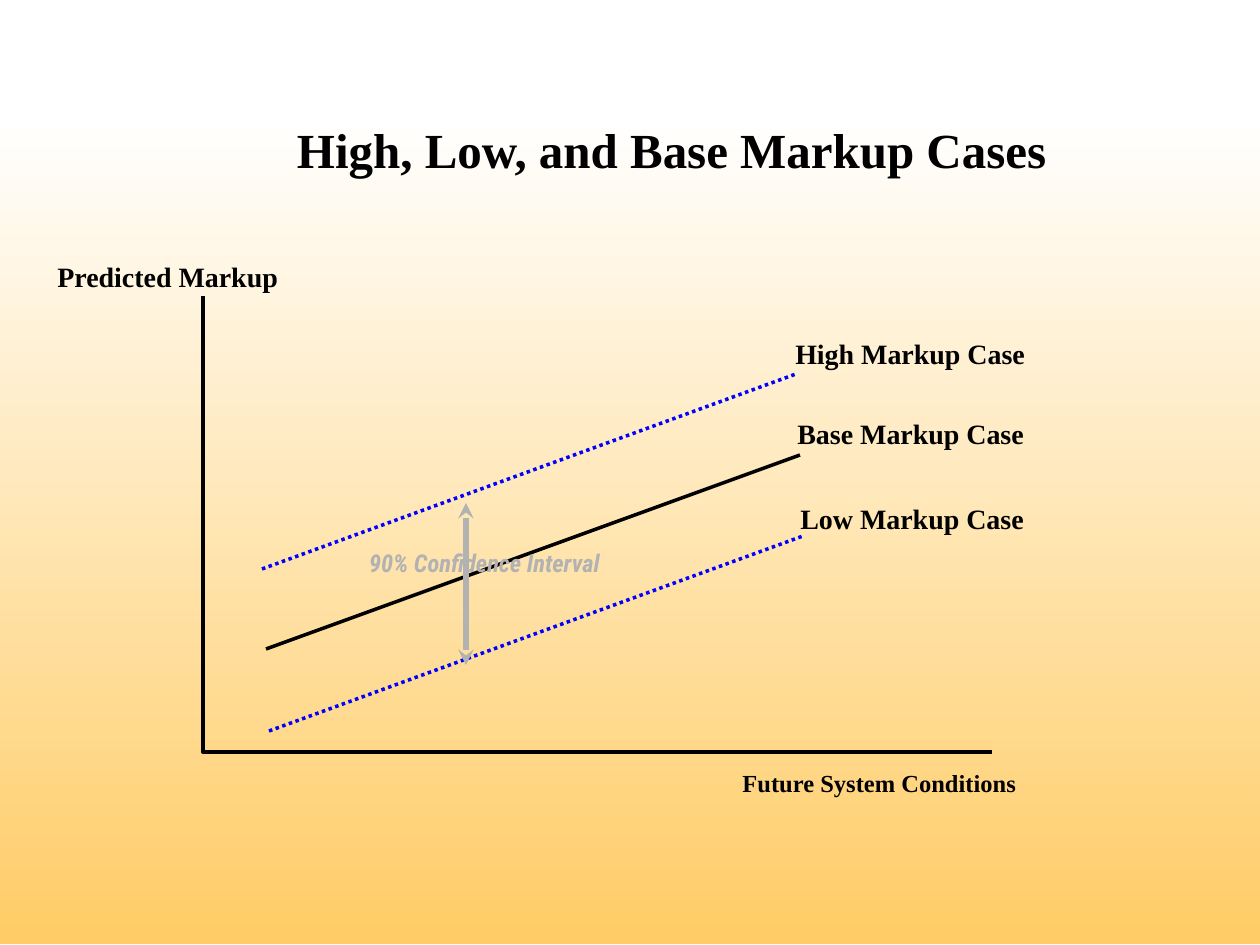
"""Build the slide with the high, low and base markup cases."""
from dataclasses import dataclass
from typing import Optional

import pptx
import pptx.dml.color
import pptx.enum.dml
import pptx.enum.shapes
import pptx.enum.text
import pptx.oxml.ns
import pptx.util
from lxml import etree

PX = 914400 / 126
COLORS = {"ink": "000000", "case": "0000FF", "interval": "B2B2B2",
          "top": "FFFFFF", "bottom": "FFCC66"}
SERIF = "Times New Roman"
ALIGN = pptx.enum.text.PP_ALIGN


@dataclass
class Label:
    text: str
    x: int
    y: int
    w: int
    h: int = 47
    size: int = 16
    font: str = SERIF
    color: str = "ink"
    italic: bool = False
    align: Optional[ALIGN] = None


@dataclass
class Line:
    x1: int
    y1: int
    x2: int
    y2: int
    color: str = "ink"
    width: int = 2
    dotted: bool = False
    arrows: bool = False


LABELS = [
    Label("Future System Conditions", 730, 762, 370, 43, 14),
    Label("Predicted Markup", 45, 253, 284),
    Label("Base Markup Case", 785, 410, 301),
    Label("High Markup Case", 783, 330, 326),
    Label("Low Markup Case", 788, 495, 263),
]
INTERVAL = Label("90% Confidence Interval", 312, 542, 345, 43, 14,
                 "Roboto Condensed", "interval", True, ALIGN.CENTER)
TITLE = Label("High, Low, and Base Markup Cases", 73, 105, 1071, 88, 28,
              align=ALIGN.CENTER)
LINES = [
    Line(266, 649, 800, 455),
    Line(262, 569, 796, 374, "case", dotted=True),
    Line(269, 731, 803, 536, "case", dotted=True),
    Line(466, 503, 466, 665, "interval", 3, arrows=True),
]
AXES = [(203, 296), (203, 752), (992, 752)]


def emu(px: int) -> int:
    return round(px * PX)


def rgb(name: str) -> pptx.dml.color.RGBColor:
    return pptx.dml.color.RGBColor.from_string(COLORS[name])


def write(sp, label: Label) -> None:
    tf = sp.text_frame
    tf.word_wrap = True
    tf.text = label.text
    p = tf.paragraphs[0]
    if label.align is not None:
        p.alignment = label.align
    f = p.runs[0].font
    f.name, f.size = label.font, pptx.util.Pt(label.size)
    f.bold, f.italic = True, label.italic
    f.color.rgb = rgb(label.color)


def add_title(s, label: Label) -> None:
    sp = s.shapes.title
    sp.left, sp.top, sp.width, sp.height = map(
        emu, (label.x, label.y, label.w, label.h))
    write(sp, label)
    tf = sp.text_frame
    tf.margin_left = pptx.util.Inches(1.1)
    tf.vertical_anchor = pptx.enum.text.MSO_ANCHOR.MIDDLE
    tf.auto_size = pptx.enum.text.MSO_AUTO_SIZE.NONE


def add_label(s, label: Label) -> None:
    sp = s.shapes.add_textbox(*map(emu, (label.x, label.y, label.w, label.h)))
    write(sp, label)
    sp.text_frame.auto_size = pptx.enum.text.MSO_AUTO_SIZE.SHAPE_TO_FIT_TEXT


def add_line(s, line: Line) -> None:
    sp = s.shapes.add_connector(
        pptx.enum.shapes.MSO_CONNECTOR.STRAIGHT,
        *map(emu, (line.x1, line.y1, line.x2, line.y2)))
    sp.line.color.rgb = rgb(line.color)
    sp.line.width = pptx.util.Pt(line.width)
    if line.dotted:
        sp.line.dash_style = pptx.enum.dml.MSO_LINE.ROUND_DOT
    qn = pptx.oxml.ns.qn
    if line.arrows:
        ln = sp.line._get_or_add_ln()
        for end in ("a:headEnd", "a:tailEnd"):
            etree.SubElement(ln, qn(end), type="stealth")
    etree.SubElement(sp._element.spPr, qn("a:effectLst"))


def add_backdrop(s) -> None:
    sp = s.shapes.add_shape(pptx.enum.shapes.MSO_SHAPE.RECTANGLE,
                            *map(emu, (0, 116, 1260, 828)))
    sp.shadow.inherit = False
    sp.line.fill.background()
    sp.fill.gradient()
    sp.fill.gradient_angle = 270
    for stop, name, position in zip(sp.fill.gradient_stops,
                                    ("top", "bottom"), (0, 1)):
        stop.color.rgb = rgb(name)
        stop.position = position
    s.shapes._spTree.insert(2, sp._element)


def add_axes(s) -> None:
    builder = s.shapes.build_freeform(*AXES[0], scale=PX)
    builder.add_line_segments(AXES[1:], close=False)
    sp = builder.convert_to_shape()
    sp.shadow.inherit = False
    sp.fill.background()
    sp.line.color.rgb = rgb("ink")
    sp.line.width = pptx.util.Pt(2)


def main() -> None:
    prs = pptx.Presentation()
    prs.slide_width, prs.slide_height = emu(1260), emu(945)
    s = prs.slides.add_slide(prs.slide_layouts[5])
    add_backdrop(s)
    add_title(s, TITLE)
    for label in LABELS:
        add_label(s, label)
    add_axes(s)
    for line in LINES:
        add_line(s, line)
    add_label(s, INTERVAL)
    prs.save("out.pptx")


if __name__ == "__main__":
    main()
